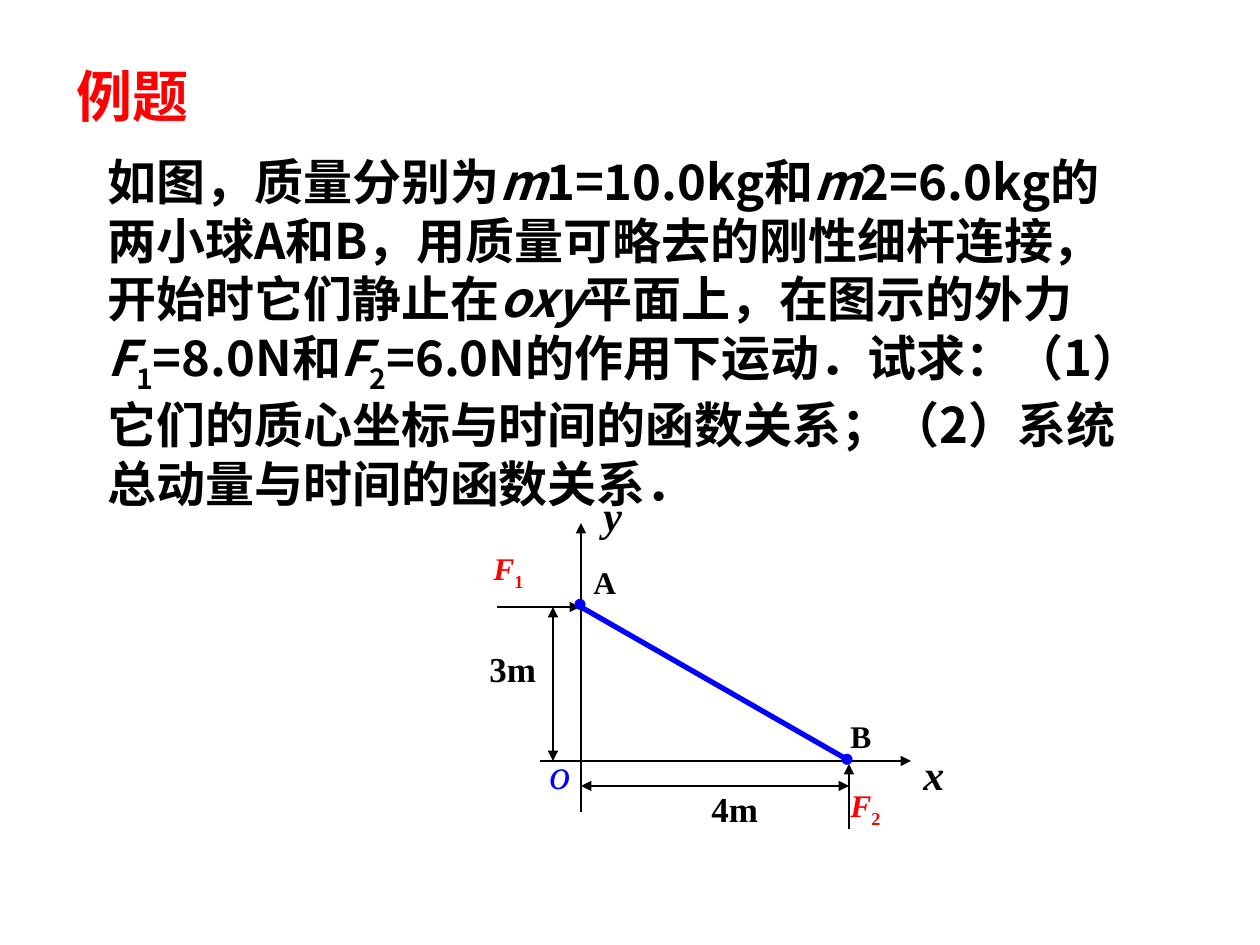
import pptx
import pptx.util
import pptx.dml.color
import pptx.enum.shapes
import pptx.enum.text
import pptx.oxml.ns
from lxml import etree

PX = 914400 // 126
COLORS = {"red": "FF0000", "black": "000000", "blue": "0000FF"}
SANS, SERIF, ARIAL = "Noto Sans CJK SC", "Times New Roman", "Arial"

HEADING = [("例题", "")]
PROBLEM = [
    ("如图，质量分别为", ""), ("m", "italic"), ("1=10.0kg和", ""), ("m", "italic"),
    ("2=6.0kg的两小球A和B，用质量可略去的刚性细杆连接，开始时它们静止在", ""),
    ("oxy", "italic"), ("平面上，在图示的外力", ""), ("F", "italic"), ("1", "sub"),
    ("=8.0N和", ""), ("F", "italic"), ("2", "sub"),
    ("=6.0N的作用下运动．试求：（1）它们的质心坐标与时间的函数关系；"
     "（2）系统总动量与时间的函数关系．", ""),
]

ORIGIN_X, ORIGIN_Y = 581, 761
BALL_A_Y, BALL_B_X = 607, 849
HEIGHT_X, WIDTH_Y = 553, 786

LINES = [
    ((ORIGIN_X, ORIGIN_Y), (911, ORIGIN_Y), "black", 0.75, ("tail",)),
    ((ORIGIN_X, 523), (ORIGIN_X, ORIGIN_Y), "black", 0.75, ("head",)),
    ((ORIGIN_X, BALL_A_Y), (848, 760), "blue", 3, ()),
    ((497, BALL_A_Y), (580, BALL_A_Y), "black", 1.5, ("tail",)),
    ((BALL_B_X, 764), (BALL_B_X, 829), "black", 1.5, ("head",)),
    ((540, ORIGIN_Y), (601, ORIGIN_Y), "black", 0.75, ()),
    ((ORIGIN_X, ORIGIN_Y), (ORIGIN_X, 812), "black", 0.75, ()),
    ((ORIGIN_X, WIDTH_Y), (BALL_B_X, WIDTH_Y), "black", 0.75, ("head", "tail")),
    ((HEIGHT_X, BALL_A_Y), (HEIGHT_X, ORIGIN_Y), "black", 0.75, ("head", "tail")),
]

LABELS = [
    ([("•", "")], (828, 728, 83, 68), dict(size=22, font=ARIAL, color="blue")),
    ([("•", "")], (561, 573, 82, 68), dict(size=22, font=ARIAL, color="blue")),
    ([("x", "italic")], (911, 742, 57, 68), dict(size=24)),
    ([("y", "italic")], (591, 483, 59, 68), dict(size=24)),
    ([("F", "italic"), ("1", "sub")], (481, 543, 103, 68), dict(size=18, color="red")),
    ([("F", "italic"), ("2", "sub")], (838, 780, 103, 68), dict(size=18, color="red")),
    ([("o", "italic")], (537, 741, 64, 59), dict(size=24, color="blue", bold=False)),
    ([("4m", "")], (699, 781, 103, 68), dict(size=20)),
    ([("3m", "")], (477, 641, 103, 68), dict(size=20)),
    ([("A", "")], (581, 557, 79, 55), dict(size=18)),
    ([("B", "")], (838, 711, 59, 49), dict(size=18)),
]


def rgb(name):
    return pptx.dml.color.RGBColor.from_string(COLORS[name])


def write_text(holder, runs, box, size=18, font=SERIF, color="black", bold=True,
               align=pptx.enum.text.PP_ALIGN.JUSTIFY):
    holder.left, holder.top, holder.width, holder.height = [v * PX for v in box]
    frame = holder.text_frame
    frame.word_wrap = True
    frame.auto_size = pptx.enum.text.MSO_AUTO_SIZE.NONE
    frame.vertical_anchor = pptx.enum.text.MSO_ANCHOR.TOP
    paragraph = frame.paragraphs[0]
    paragraph.alignment = align
    paragraph.space_before = pptx.util.Pt(0)
    if holder.is_placeholder:
        properties = paragraph._p.get_or_add_pPr()
        properties.set("marL", "0")
        properties.set("indent", "0")
        etree.SubElement(properties, pptx.oxml.ns.qn("a:buNone"))
    for words, style in runs:
        run = paragraph.add_run()
        run.text = words
        run.font.size = pptx.util.Pt(size)
        run.font.bold = bold
        run.font.italic = style == "italic"
        run.font.color.rgb = rgb(color)
        run.font.name = font
        run_properties = run.font._element
        east_asian = etree.SubElement(run_properties, pptx.oxml.ns.qn("a:ea"))
        east_asian.set("typeface", font)
        if style == "sub":
            run_properties.set("baseline", "-25000")


def draw_line(slide, start, end, color, width, arrows):
    ends = [v * PX for v in start + end]
    line = slide.shapes.add_connector(pptx.enum.shapes.MSO_CONNECTOR.STRAIGHT, *ends)
    line.line.color.rgb = rgb(color)
    line.line.width = pptx.util.Pt(width)
    outline = line.line._get_or_add_ln()
    for arrow in arrows:
        tip = etree.SubElement(outline, pptx.oxml.ns.qn(f"a:{arrow}End"))
        tip.set("type", "triangle")
    etree.SubElement(line._element.spPr, pptx.oxml.ns.qn("a:effectLst"))


def main():
    deck = pptx.Presentation()
    deck.slide_width, deck.slide_height = 1260 * PX, 945 * PX
    slide = deck.slides.add_slide(deck.slide_layouts[1])
    left = pptx.enum.text.PP_ALIGN.LEFT
    write_text(slide.shapes.title, HEADING, (64, 55, 267, 81),
               size=32, font=SANS, color="red", align=left)
    write_text(slide.placeholders[1], PROBLEM, (95, 145, 1062, 374),
               size=28, font=SANS, align=left)
    for line in LINES:
        draw_line(slide, *line)
    for runs, box, look in LABELS:
        write_text(slide.shapes.add_textbox(0, 0, 0, 0), runs, box, **look)
    deck.save("out.pptx")


if __name__ == "__main__":
    main()
